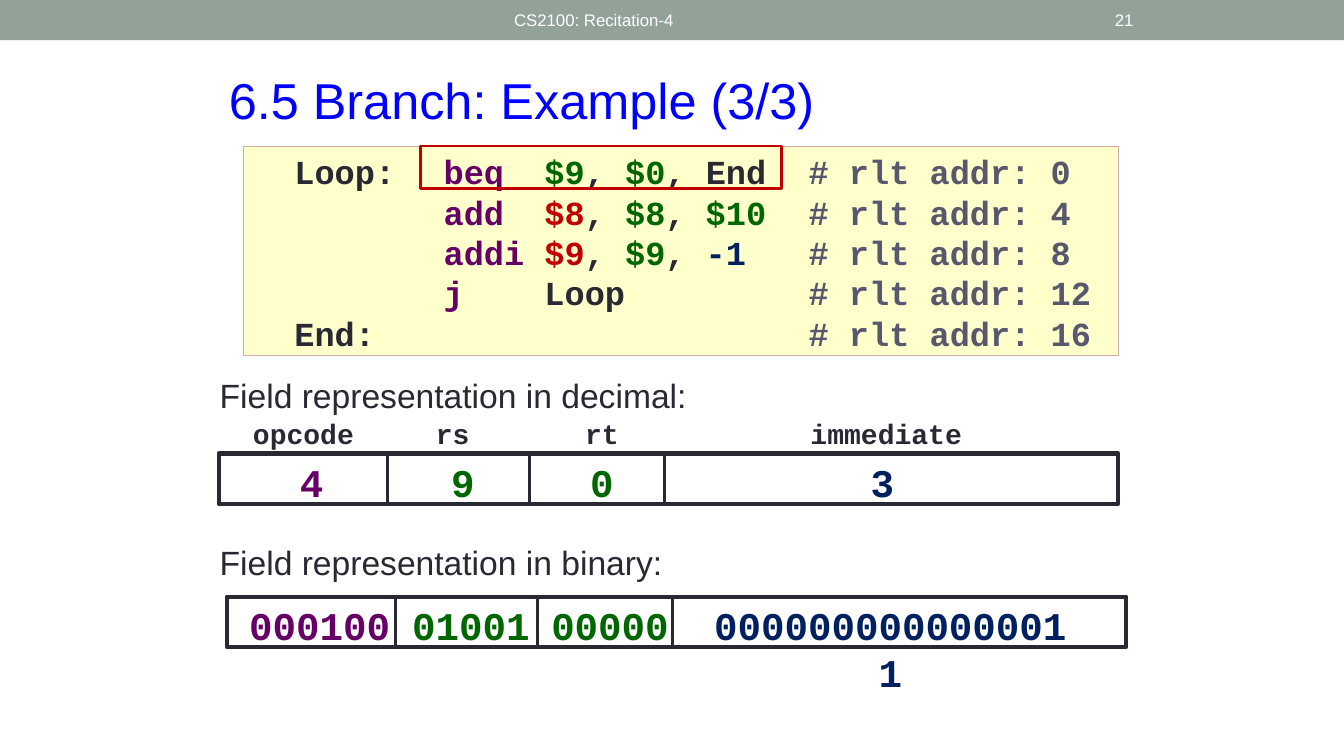
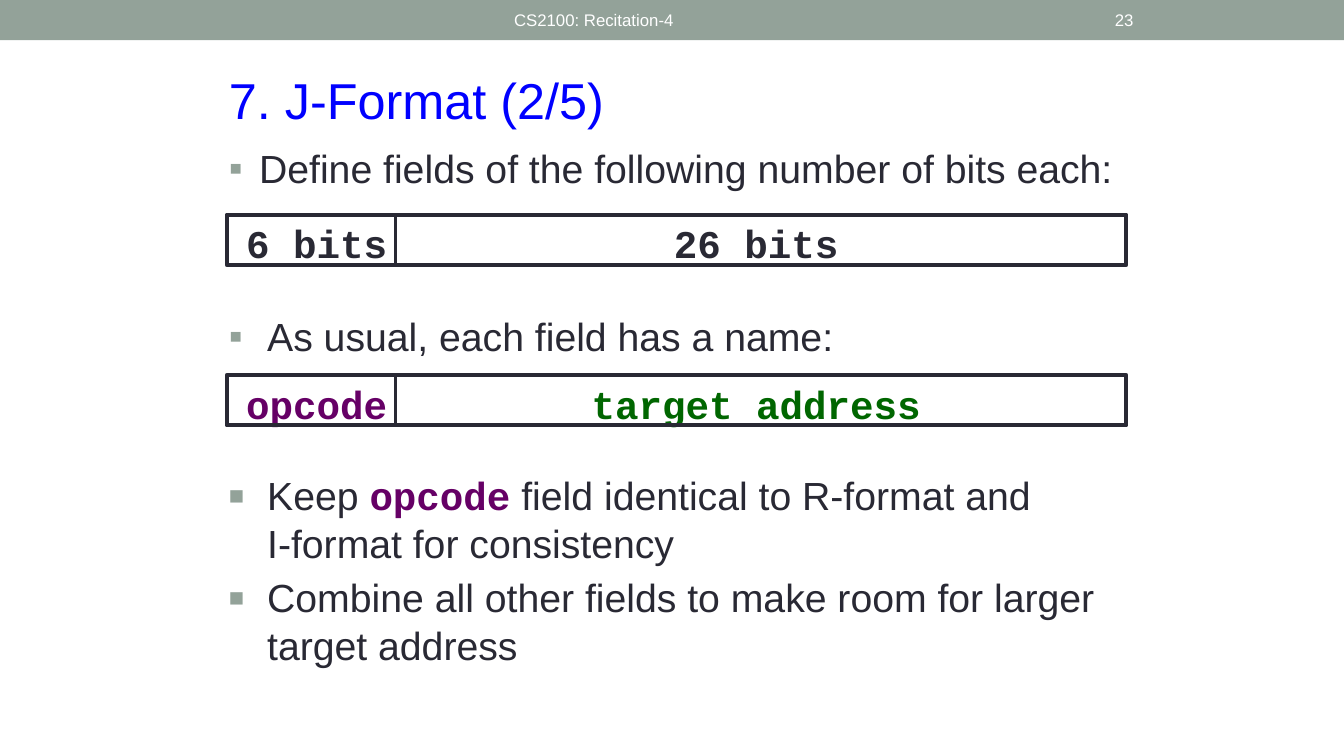
from lxml import etree
from pptx import Presentation
from pptx.dml.color import RGBColor
from pptx.enum import shapes, text
from pptx.oxml.ns import qn
from pptx.util import Inches, Pt

SAGE = RGBColor(0x93, 0xA2, 0x99)
WHITE = RGBColor(0xFF, 0xFF, 0xFF)
BLUE = RGBColor(0x00, 0x00, 0xFF)
INK = RGBColor(0x29, 0x29, 0x34)
GRAY = RGBColor(0x57, 0x57, 0x6E)
PURPLE = RGBColor(0x66, 0x00, 0x66)
GREEN = RGBColor(0x00, 0x66, 0x00)
RED = RGBColor(0xC0, 0x00, 0x00)
NAVY = RGBColor(0x00, 0x20, 0x60)
CREAM = RGBColor(0xFF, 0xFF, 0xCC)
ROSE = RGBColor(0xD3, 0xAE, 0xA8)

SANS, MONO = "Arial", "Courier New"
FIELD_WIDTH, FIELD_HEIGHT = 8.92, 0.5
OPCODE_EDGE, RS_EDGE, RT_EDGE = 1.67, 3.08, 4.42
CODE_TABS = (1.48, 2.48, 5.1)


class Lecture:
    """Holds the deck, its style and the current page."""

    def __init__(self):
        self.deck = Presentation()
        self.deck.slide_width, self.deck.slide_height = Inches(13.33), Inches(7.5)
        self.page = None

    def start(self, layout, title, number):
        self.page = self.deck.slides.add_slide(self.deck.slide_layouts[layout])
        if len(self.deck.slides) == 1:
            band = self.rectangle(0, 0, 13.33, 0.4, fill=SAGE)
            self.deck.slide_master.shapes.element.insert(2, band.element)
        heading = self.place(self.page.shapes.title, 2.17, 0.64, 9.17, 0.71)
        self.add_spans(heading.text_frame.paragraphs[0], [(title, BLUE)], 36)
        self.label("CS2100: Recitation-4", 5, 0.02, 6, 0.36, 12, WHITE, middle=True)
        self.label(str(number), 10.39, 0.02, 0.95, 0.36, 12, WHITE, middle=True,
                   align=text.PP_ALIGN.RIGHT)

    def place(self, box, left, top, width, height):
        box.left, box.top = Inches(left), Inches(top)
        box.width, box.height = Inches(width), Inches(height)
        frame = box.text_frame
        frame.word_wrap = True
        frame.auto_size = text.MSO_AUTO_SIZE.NONE
        frame.vertical_anchor = text.MSO_ANCHOR.TOP
        return box

    def add_spans(self, para, spans, size, font=SANS, bold=False,
                  align=text.PP_ALIGN.LEFT):
        para.alignment = align
        for words, color, *style in spans:
            if words == "\n":
                para.add_line_break()
                continue
            span = para.add_run()
            span.text = words
            span.font.size = Pt(size)
            span.font.name, span.font.bold = style or (font, bold)
            span.font.color.rgb = color

    def label(self, words, left, top, width, height, size, color, font=SANS,
              bold=False, align=text.PP_ALIGN.LEFT, middle=False):
        box = self.page.shapes.add_textbox(0, 0, 0, 0)
        frame = self.place(box, left, top, width, height).text_frame
        if middle:
            frame.vertical_anchor = text.MSO_ANCHOR.MIDDLE
        self.add_spans(frame.paragraphs[0], [(words, color)], size, font, bold, align)

    def rectangle(self, left, top, width, height, fill=None, line=None, weight=1):
        box = self.page.shapes.add_shape(
            shapes.MSO_SHAPE.RECTANGLE, Inches(left), Inches(top),
            Inches(width), Inches(height))
        box.shadow.inherit = False
        if fill is None:
            box.fill.background()
        else:
            box.fill.solid()
            box.fill.fore_color.rgb = fill
        if line is None:
            box.line.fill.background()
        else:
            box.line.color.rgb = line
            box.line.width = Pt(weight)
        return box

    def divider(self, left, top, height):
        line = self.page.shapes.add_connector(
            shapes.MSO_CONNECTOR.STRAIGHT, Inches(left), Inches(top),
            Inches(left), Inches(top + height))
        line.line.color.rgb = INK
        line.line.width = Pt(2.25)
        etree.SubElement(line.element.spPr, qn("a:effectLst"))

    def captions(self, left, top, cells, size=28):
        for words, color, center in cells:
            width = min(0.25 * len(words) + 0.2, 3.92)
            self.label(words, left + center - width / 2, top, width, 0.57, size,
                       color, MONO, True, text.PP_ALIGN.CENTER)

    def fields(self, left, top, edges, cells):
        self.captions(left, top, cells)
        self.rectangle(left, top, FIELD_WIDTH, FIELD_HEIGHT, line=INK, weight=3)
        for edge in edges:
            self.divider(left + edge, top, FIELD_HEIGHT)

    def code(self, left, top, width, height, rows):
        box = self.rectangle(left, top, width, height, CREAM, ROSE, 0.75)
        frame = self.place(box, left, top, width, height).text_frame
        frame.margin_left = Inches(0.5)
        for index, spans in enumerate(rows):
            para = frame.add_paragraph() if index else frame.paragraphs[0]
            self.add_spans(para, spans, 24, MONO, True)
            stops = etree.SubElement(para._p.get_or_add_pPr(), qn("a:tabLst"))
            for stop in CODE_TABS:
                etree.SubElement(stops, qn("a:tab"), pos=str(Inches(stop)), algn="l")

    def bullets(self, box, top, height, items, mark="▪", indent=0.38, before=8.4, scale=100):
        frame = self.place(box, 2.17, top, 9.08, height).text_frame
        for index, spans in enumerate(items):
            para = frame.add_paragraph() if index else frame.paragraphs[0]
            self.add_spans(para, spans, 28)
            para.space_before = Pt(before)
            props = para._p.get_or_add_pPr()
            props.set("marL", str(Inches(indent)))
            props.set("indent", str(-Inches(indent)))
            color = etree.SubElement(props, qn("a:buClr"))
            etree.SubElement(color, qn("a:srgbClr"), val=str(SAGE))
            etree.SubElement(props, qn("a:buSzPct"), val=str(scale * 1000))
            etree.SubElement(props, qn("a:buFont"), typeface=SANS)
            etree.SubElement(props, qn("a:buChar"), char=mark)


def branch_page(lecture):
    lecture.start(5, "6.5 Branch: Example (3/3)", 21)
    comma = (", ", INK)
    lecture.code(2.42, 1.45, 8.67, 2.08, [
        [("Loop:\t", INK), ("beq\t", PURPLE), ("$9", GREEN), comma, ("$0", GREEN),
         (", End\t", INK), ("# rlt addr: 0", GRAY)],
        [("\tadd\t", PURPLE), ("$8", RED), comma, ("$8", GREEN), comma,
         ("$10\t", GREEN), ("# rlt addr: 4", GRAY)],
        [("\taddi\t", PURPLE), ("$9", RED), comma, ("$9", GREEN), comma,
         ("-1\t", NAVY), ("# rlt addr: 8", GRAY)],
        [("\tj\t", PURPLE), ("Loop\t", INK), ("# rlt addr: 12", GRAY)],
        [("End:\t\t\t", INK), ("# rlt addr: 16", GRAY)],
    ])
    lecture.rectangle(4.17, 1.45, 3.58, 0.42, line=RED, weight=1.75)

    edges = (OPCODE_EDGE, RS_EDGE, RT_EDGE)
    centers = (0.92, 2.42, 3.8, 6.58)
    colors = (PURPLE, GREEN, GREEN, NAVY)
    lecture.label("Field representation in decimal:", 2.08, 3.67, 6.08, 0.5, 24, INK)
    lecture.captions(2.17, 4.08, [("opcode", INK, 0.84), ("rs", INK, 2.32),
                                  ("rt", INK, 3.8), ("immediate", INK, 6.62)], 20)
    lecture.fields(2.17, 4.5, edges, zip(("4", "9", "0", "3"), colors, centers))
    lecture.label("Field representation in binary:", 2.08, 5.33, 6.08, 0.5, 24, INK)
    binary = ("000100", "01001", "00000", "0000000000000011")
    lecture.fields(2.25, 5.92, edges, zip(binary, colors, centers))


def jump_page(lecture):
    lecture.start(4, "7. J-Format (2/5)", 23)
    sizes, names, rules, spare = list(lecture.page.placeholders)[1:]
    spare.element.getparent().remove(spare.element)
    lecture.bullets(sizes, 1.38, 0.67, [
        [("Define fields of the following number of bits each:", INK)]], indent=0.3)
    lecture.fields(2.25, 2.13, [OPCODE_EDGE],
                   [("6 bits", INK, 0.89), ("26 bits", INK, 5.25)])
    lecture.bullets(names, 3.05, 0.58, [[("As usual, each field has a name:", INK)]])
    lecture.fields(2.25, 3.72, [OPCODE_EDGE],
                   [("opcode", PURPLE, 0.89), ("target address", GREEN, 5.25)])
    lecture.bullets(rules, 4.63, 2.12, [
        [("Keep ", INK), ("opcode", PURPLE, MONO, True),
         (" field identical to R-format and", INK), ("\n", INK),
         ("I-format for consistency", INK)],
        [("Combine all other fields to make room for larger target address", INK)],
    ], mark="■", before=5.6, scale=65)


def main():
    lecture = Lecture()
    branch_page(lecture)
    jump_page(lecture)
    lecture.deck.save("out.pptx")


if __name__ == "__main__":
    main()
